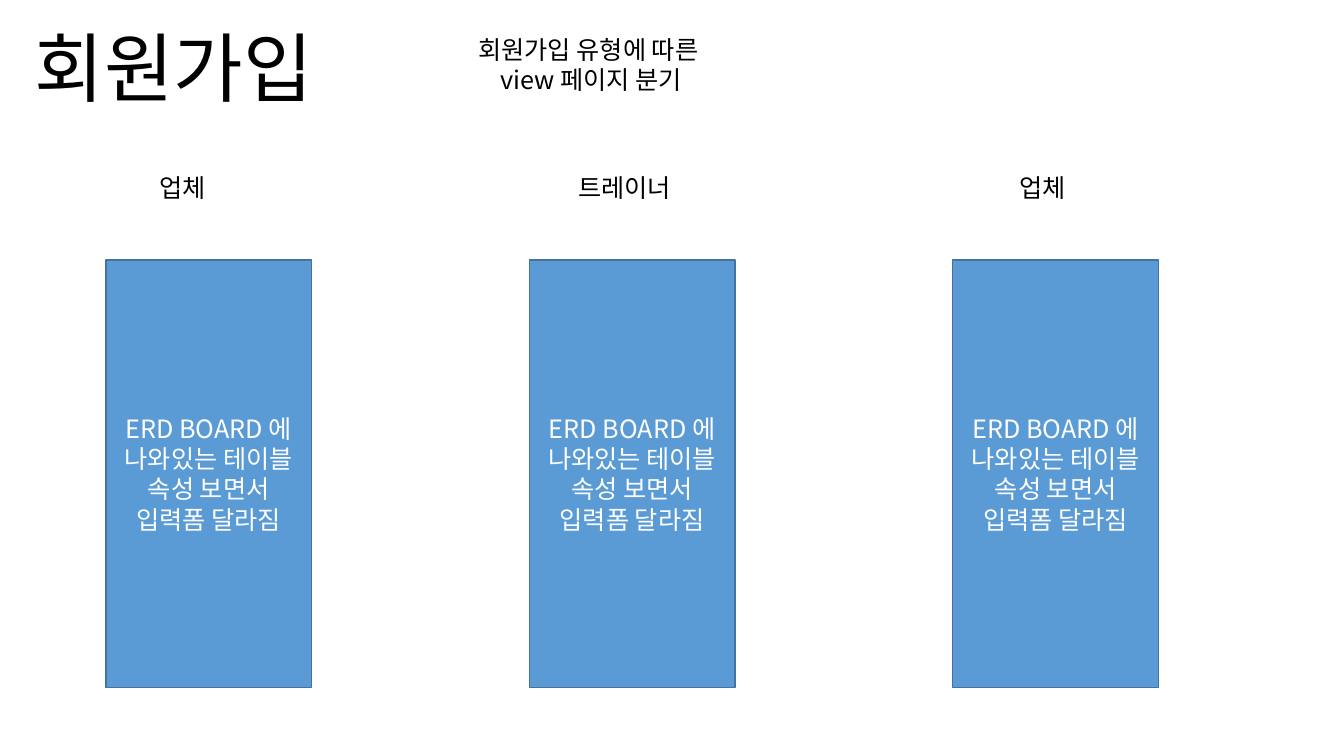
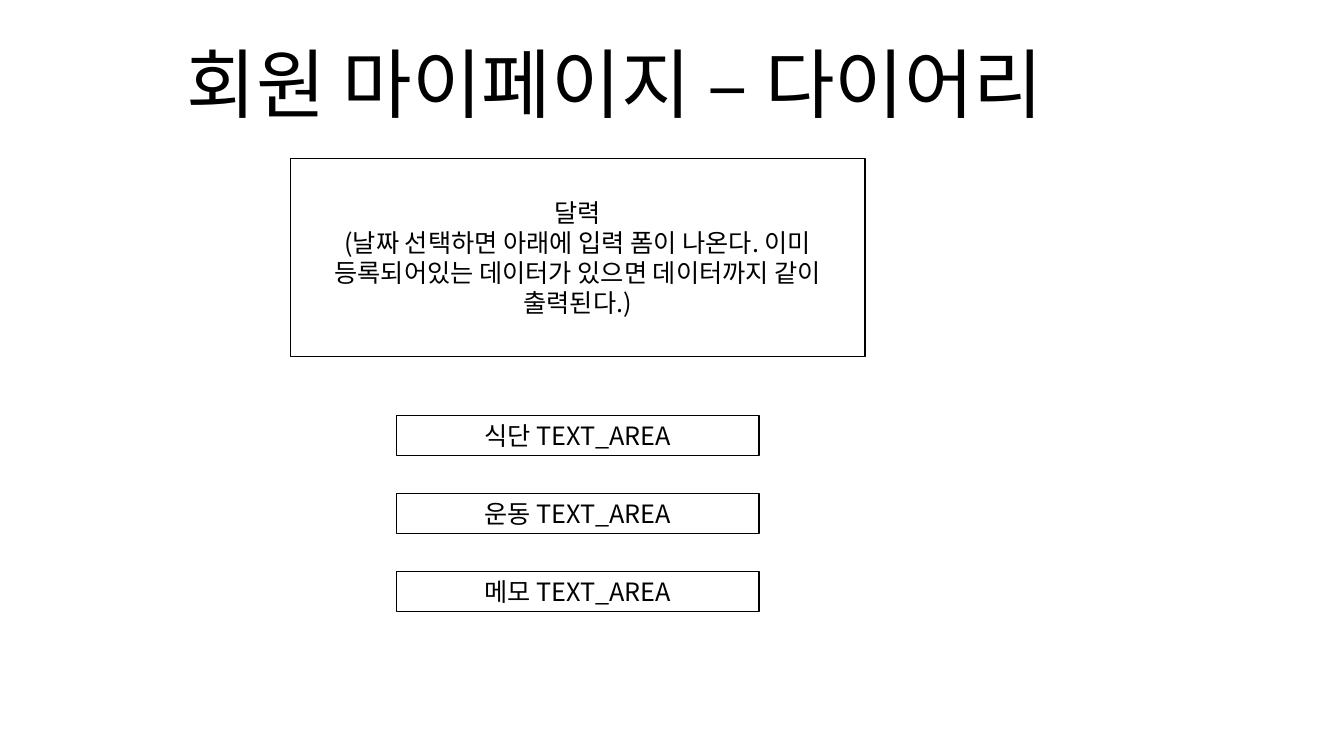
from lxml.etree import SubElement
from pptx import Presentation
from pptx.dml.color import RGBColor
from pptx.enum.shapes import MSO_SHAPE
from pptx.enum.text import MSO_ANCHOR, MSO_AUTO_SIZE, PP_ALIGN
from pptx.oxml.ns import qn
from pptx.util import Inches, Pt

FONT = "Noto Sans CJK KR"
HUES = {"ink": "000000", "paper": "FFFFFF", "blue": "5B9BD5", "edge": "43739E"}


def hue(name):
    return RGBColor.from_string(HUES[name])


def write(frame, text, size=18, color="ink", anchor=MSO_ANCHOR.TOP, wrap=True, grow=False):
    frame.word_wrap = wrap
    frame.auto_size = MSO_AUTO_SIZE.SHAPE_TO_FIT_TEXT if grow else MSO_AUTO_SIZE.NONE
    frame.vertical_anchor = anchor
    frame.margin_left = frame.margin_right = Inches(0.1)
    frame.margin_top = frame.margin_bottom = Inches(0.05)
    for i, line in enumerate(text.split("\n")):
        para = frame.paragraphs[0] if i == 0 else frame.add_paragraph()
        para.alignment = PP_ALIGN.CENTER
        run = para.add_run()
        run.text = line
        run.font.size = Pt(size)
        run.font.name = FONT
        run.font.color.rgb = hue(color)
        SubElement(run.font._element, qn("a:ea")).set("typeface", FONT)


class Deck:
    def __init__(self):
        self.show = Presentation()
        self.show.slide_width = Inches(13.33)
        self.show.slide_height = Inches(7.5)

    def page(self, title, x, y, w):
        self.slide = self.show.slides.add_slide(self.show.slide_layouts[5])
        head = self.slide.shapes.title
        head.left, head.top, head.width, head.height = map(Inches, (x, y, w, 1.01))
        write(head.text_frame, title, size=54, wrap=False, grow=True)

    def label(self, text, x, y, w, h):
        box = self.slide.shapes.add_textbox(*map(Inches, (x, y, w, h)))
        write(box.text_frame, text, grow=True)

    def box(self, text, x, y, w, h, fill="paper", line="ink", color="ink"):
        box = self.slide.shapes.add_shape(MSO_SHAPE.RECTANGLE, *map(Inches, (x, y, w, h)))
        box.shadow.inherit = False
        box.fill.solid()
        box.fill.fore_color.rgb = hue(fill)
        box.line.color.rgb = hue(line)
        box.line.width = Pt(1)
        write(box.text_frame, text, color=color, anchor=MSO_ANCHOR.MIDDLE)


deck = Deck()

deck.page("회원가입", 0.11, 0.16, 3.23)
deck.label("회원가입 유형에 따른\n view 페이지 분기", 4.02, 0.29, 3.63, 0.71)
for i, (role, x) in enumerate([("업체", 0), ("트레이너", 4.38), ("업체", 8.53)]):
    deck.label(role, x, 1.66, 3.63, 0.4)
    deck.box("ERD BOARD 에 나와있는 테이블 속성 보면서 입력폼 달라짐",
             1.05 + 4.2 * i, 2.58, 2.04, 4.24, fill="blue", line="edge", color="paper")

deck.page("회원 마이페이지 – 다이어리", 1.24, 0.32, 9.72)
deck.box("달력\n(날짜 선택하면 아래에 입력 폼이 나온다. 이미 등록되어있는 데이터가 있으면 "
         "데이터까지 같이 출력된다.)", 2.88, 1.57, 5.7, 1.97)
for i, field in enumerate(["식단", "운동", "메모"]):
    deck.box(f"{field} TEXT_AREA", 3.93, 4.12 + 0.775 * i, 3.6, 0.4)

deck.show.save("out.pptx")
